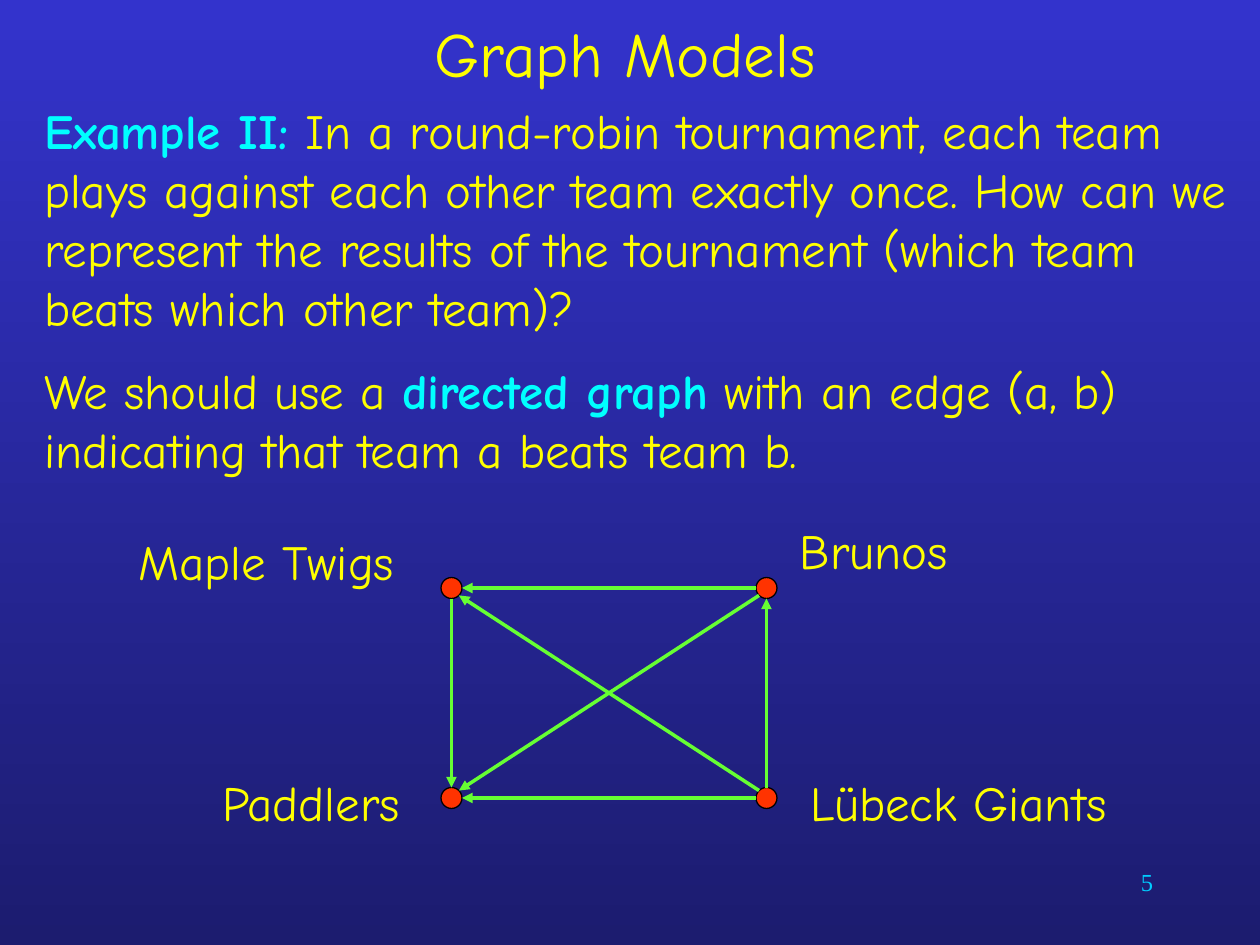
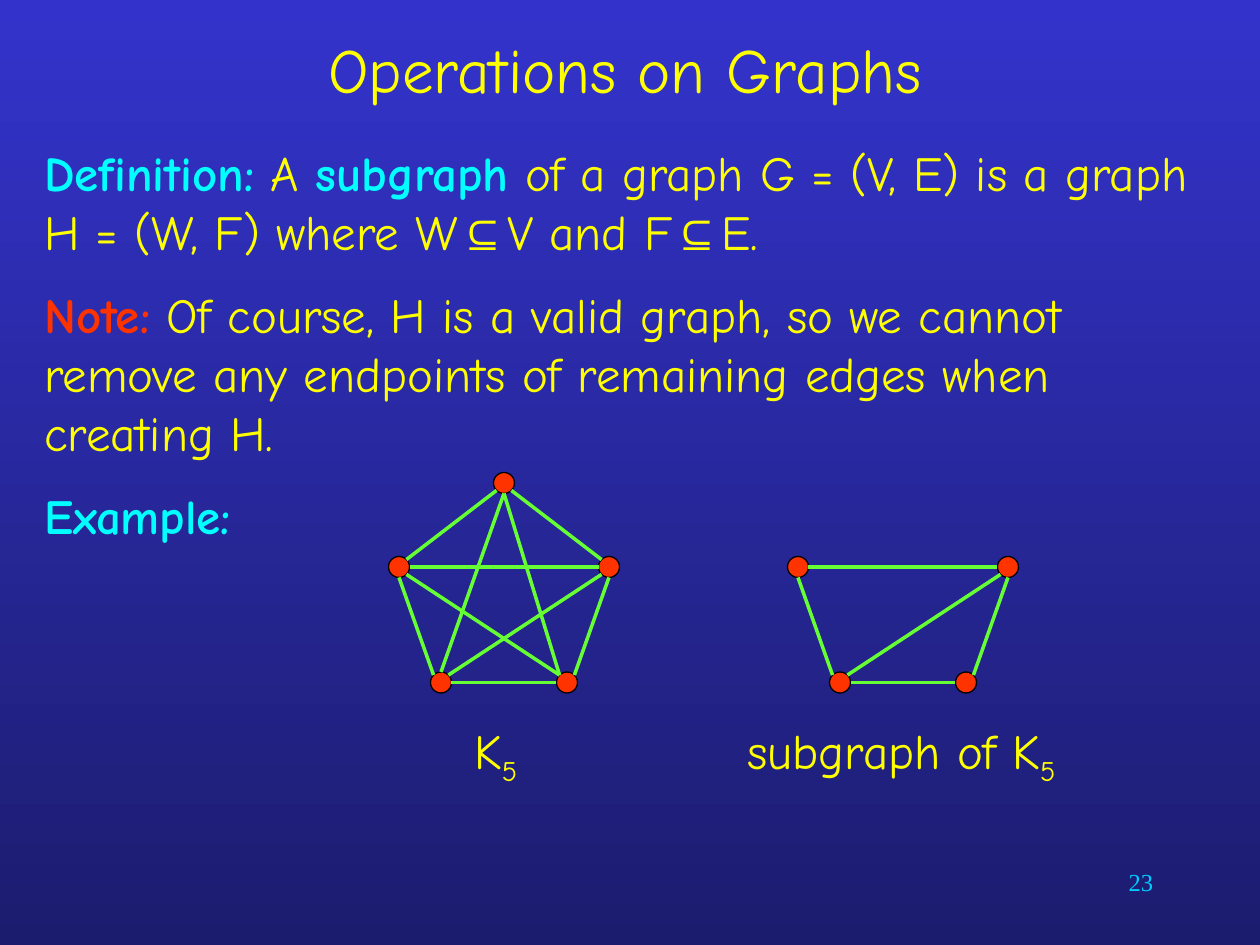
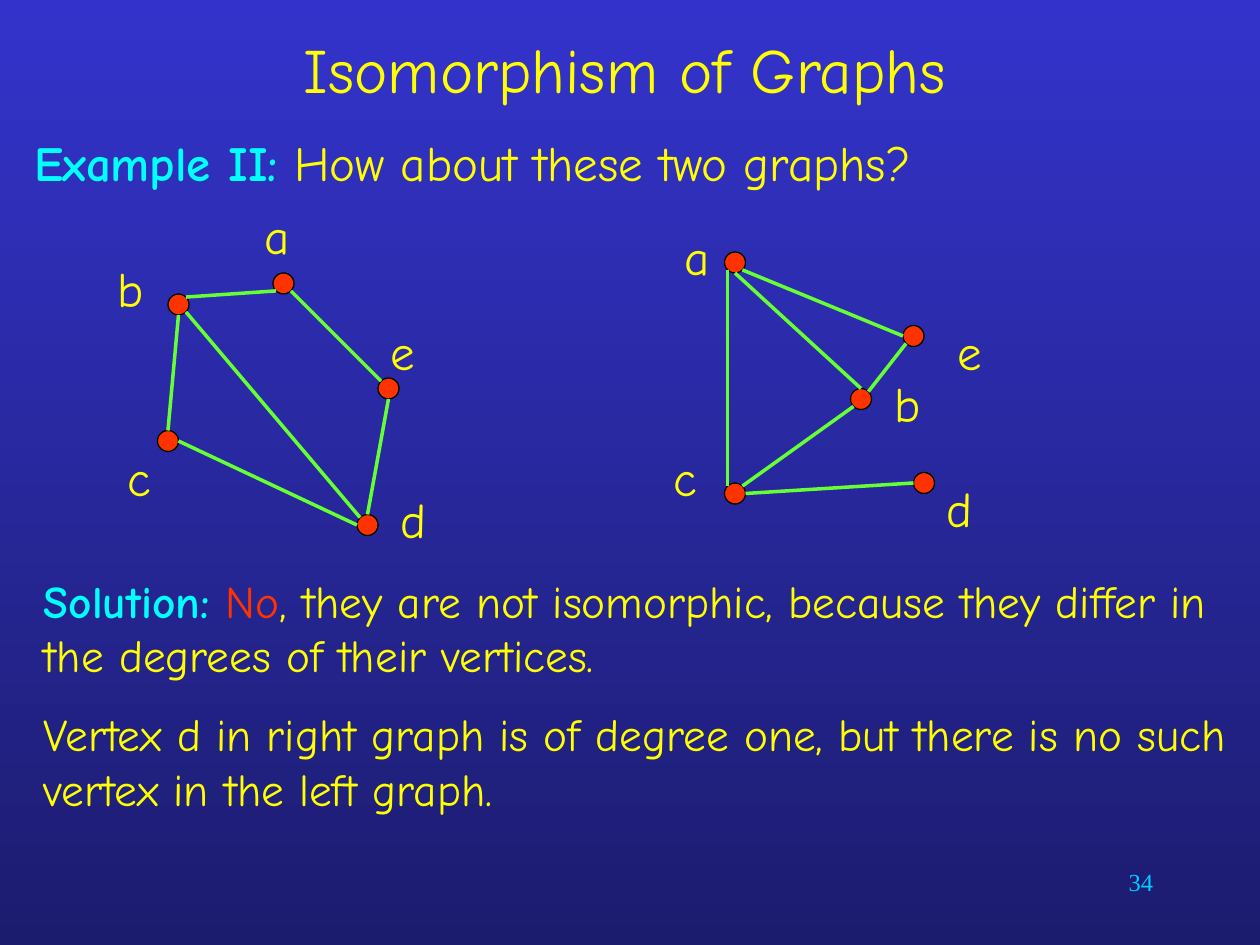
from math import cos, radians, sin

from lxml import etree
from pptx import Presentation
from pptx.dml.color import RGBColor
from pptx.enum.shapes import MSO_CONNECTOR, MSO_SHAPE
from pptx.enum.text import MSO_ANCHOR, MSO_AUTO_SIZE, PP_ALIGN
from pptx.oxml.ns import qn
from pptx.util import Inches, Pt

STRAIGHT = MSO_CONNECTOR.STRAIGHT
CIRCLE = MSO_SHAPE.FLOWCHART_CONNECTOR
TOP, MIDDLE = MSO_ANCHOR.TOP, MSO_ANCHOR.MIDDLE
LEFT, CENTER, RIGHT = PP_ALIGN.LEFT, PP_ALIGN.CENTER, PP_ALIGN.RIGHT
NO_AUTOFIT = MSO_AUTO_SIZE.NONE

COLORS = {
    "background_top": "3333CC",
    "background_bottom": "1C1C6F",
    "text": "FFFF00",
    "term": "00FFFF",
    "alert": "FF3300",
    "number": "00CCFF",
    "vertex": "FF3300",
    "outline": "000000",
    "edge": "66FF33",
}
MAIN_FONT = "Comic Neue"
STYLES = {
    "plain": {"name": MAIN_FONT, "bold": False, "color": "text"},
    "term": {"name": MAIN_FONT, "bold": True, "color": "term"},
    "note": {"name": MAIN_FONT, "bold": True, "color": "alert"},
    "answer": {"name": MAIN_FONT, "bold": False, "color": "alert"},
    "symbol": {"name": "Arial", "bold": False, "color": "text"},
    "number": {"name": "Times New Roman", "bold": False, "color": "number"},
    "subscript": {"name": MAIN_FONT, "bold": False, "color": "text"},
}
COMPASS = {name: radians(45 * step) for step, name in
           enumerate(["E", "SE", "S", "SW", "W", "NW", "N", "NE"])}
CELLS_PER_INCH = 12
VERTEX_CELLS = 2
LABEL_HEIGHT = 0.57
PARAGRAPH_GAP = 7

TOURNAMENT = {
    "origin": (12, 49),
    "vertices": {"Maple Twigs": (30, 6), "Brunos": (60, 6),
                 "Paddlers": (30, 26), "Lübeck Giants": (60, 26)},
    "labels": {"Maple Twigs": (0, 1, 31), "Brunos": (63, 0, 21),
               "Paddlers": (8, 24, 22), "Lübeck Giants": (64, 24, 36)},
    "edges": [("Maple Twigs", "S", "Paddlers", "N"),
              ("Brunos", "W", "Maple Twigs", "E"),
              ("Brunos", "SW", "Paddlers", "NE"),
              ("Lübeck Giants", "W", "Paddlers", "E"),
              ("Lübeck Giants", "NW", "Maple Twigs", "SE"),
              ("Lübeck Giants", "N", "Brunos", "S")],
    "directed": True,
}
SUBGRAPH_VERTICES = {"lower left": (4, 19), "lower right": (16, 19),
                     "left": (0, 8), "right": (20, 8)}
SUBGRAPH_EDGES = [("left", "S", "lower left", "NW"),
                  ("lower left", "E", "lower right", "W"),
                  ("lower right", "NE", "right", "S"),
                  ("left", "E", "right", "W"),
                  ("lower left", "NE", "right", "SW")]
COMPLETE_GRAPH = {
    "origin": (37, 45),
    "vertices": {**SUBGRAPH_VERTICES, "top": (10, 0)},
    "edges": SUBGRAPH_EDGES + [("right", "NW", "top", "SE"),
                               ("left", "NE", "top", "SW"),
                               ("top", "S", "lower left", "N"),
                               ("top", "S", "lower right", "NW"),
                               ("left", "SE", "lower right", "NW")],
}
SUBGRAPH = {"origin": (75, 45), "vertices": SUBGRAPH_VERTICES,
            "edges": SUBGRAPH_EDGES}
LEFT_GRAPH = {
    "origin": (10, 19),
    "vertices": {"a": (16, 7), "b": (6, 9), "c": (5, 22),
                 "d": (24, 30), "e": (26, 17)},
    "labels": {"a": (14, 0, 8), "b": (0, 5, 4), "c": (1, 23, 5),
               "d": (27, 27, 8), "e": (26, 11, 8)},
    "edges": [("d", "N", "e", "S"), ("d", "W", "c", "E"),
              ("c", "N", "b", "S"), ("b", "NE", "a", "SW"),
              ("a", "SE", "e", "NW"), ("b", "SE", "d", "NW")],
}
RIGHT_GRAPH = {
    "origin": (63, 21),
    "vertices": {"a": (6, 3), "b": (18, 16), "c": (6, 25),
                 "d": (24, 24), "e": (23, 10)},
    "labels": {"a": (1, 0, 8), "b": (21, 14, 4), "c": (0, 21, 5),
               "d": (26, 24, 8), "e": (27, 9, 8)},
    "edges": [("c", "E", "d", "W"), ("c", "NE", "b", "SW"),
              ("b", "N", "a", "S"), ("a", "SE", "e", "W"),
              ("e", "SW", "b", "NE"), ("a", "SW", "c", "NW")],
}


def color(name):
    return RGBColor.from_string(COLORS[name])


def cells(count):
    return Inches(count / CELLS_PER_INCH)


def set_attributes(target, values):
    for name, value in values.items():
        setattr(target, name, value)


def write_paragraph(paragraph, runs, size, align=LEFT):
    paragraph.alignment = align
    for text, style in runs:
        run = paragraph.add_run()
        run.text = text
        values = dict(STYLES[style], size=Pt(size))
        run.font.color.rgb = color(values.pop("color"))
        set_attributes(run.font, values)
        if style == "subscript":
            run.font._element.set("baseline", "-25000")


def write_paragraphs(frame, paragraphs, size, bulleted=False):
    for index, runs in enumerate(paragraphs):
        paragraph = frame.add_paragraph() if index else frame.paragraphs[0]
        if bulleted:
            properties = paragraph._p.get_or_add_pPr()
            properties.set("marL", "0")
            properties.set("indent", "0")
            etree.SubElement(properties, qn("a:buNone"))
        set_attributes(paragraph, {
            "line_spacing": 1.0,
            "space_before": Pt(PARAGRAPH_GAP if index else 0),
            "space_after": Pt(PARAGRAPH_GAP),
        })
        write_paragraph(paragraph, runs, size)


def place(shape, box):
    names = ("left", "top", "width", "height")
    set_attributes(shape, dict(zip(names, map(Inches, box))))


def add_text(shapes, box, runs, size=28, align=LEFT):
    shape = shapes.add_textbox(*box)
    shape.text_frame.word_wrap = True
    write_paragraph(shape.text_frame.paragraphs[0], runs, size, align)


def add_slide(presentation, number, title, title_height, body_box, paragraphs):
    slide = presentation.slides.add_slide(presentation.slide_layouts[1])
    heading, body = slide.placeholders
    place(heading, (0.25, 0, 9.42, title_height))
    place(body, body_box)
    for shape, anchor in ((heading, MIDDLE), (body, TOP)):
        set_attributes(shape.text_frame, {
            "auto_size": NO_AUTOFIT, "vertical_anchor": anchor,
            "word_wrap": True})
    write_paragraph(heading.text_frame.paragraphs[0],
                    [(title, "plain")], 36, CENTER)
    write_paragraphs(body.text_frame, paragraphs, 28, bulleted=True)
    add_text(slide.shapes, map(Inches, (7.17, 6.83, 2.08, 0.5)),
             [(str(number), "number")], 14, RIGHT)
    return slide


def add_vertex(shapes, left, top):
    vertex = shapes.add_shape(CIRCLE, cells(left), cells(top),
                              cells(VERTEX_CELLS), cells(VERTEX_CELLS))
    vertex.shadow.inherit = False
    vertex.fill.solid()
    vertex.fill.fore_color.rgb = color("vertex")
    vertex.line.color.rgb = color("outline")
    vertex.line.width = Pt(0.75)


def add_edge(shapes, start, end, directed):
    edge = shapes.add_connector(STRAIGHT, *map(cells, start + end))
    edge.line.color.rgb = color("edge")
    edge.line.width = Pt(2)
    properties = edge._element.spPr
    if directed:
        line = properties.find(qn("a:ln"))
        etree.SubElement(line, qn("a:tailEnd"), type="triangle")
    etree.SubElement(properties, qn("a:effectLst"))


def add_graph(slide, graph):
    shapes = slide.shapes.add_group_shape().shapes
    left, top = graph["origin"]
    radius = VERTEX_CELLS / 2

    def rim_point(name, direction):
        x, y = graph["vertices"][name]
        angle = COMPASS[direction]
        return (left + x + radius * (1 + cos(angle)),
                top + y + radius * (1 + sin(angle)))

    for x, y in graph["vertices"].values():
        add_vertex(shapes, left + x, top + y)
    for name, (x, y, width) in graph.get("labels", {}).items():
        box = (cells(left + x), cells(top + y), cells(width),
               Inches(LABEL_HEIGHT))
        add_text(shapes, box, [(name, "plain")])
    for source, leaving, target, arriving in graph["edges"]:
        add_edge(shapes, rim_point(source, leaving),
                 rim_point(target, arriving), graph.get("directed", False))


def add_caption(slide, graph, offset, width, text):
    left, top = graph["origin"]
    box = (cells(left + offset), cells(top + 23), cells(width), Inches(0.63))
    add_text(slide.shapes, box, [(text, "plain"), ("5", "subscript")])


def add_models_slide(presentation):
    slide = add_slide(
        presentation, 5, "Graph Models", 0.83, (0.25, 0.75, 9.58, 3.17), [
            [("Example II: ", "term"),
             ("In a round-robin tournament, each team plays against each "
              "other team exactly once. How can we represent the results of "
              "the tournament (which team beats which other team)?", "plain")],
            [("We should use a ", "plain"), ("directed graph", "term"),
             (" with an edge (a, b) indicating that team a beats team b.",
              "plain")],
        ])
    add_graph(slide, TOURNAMENT)


def add_operations_slide(presentation):
    slide = add_slide(
        presentation, 23, "Operations on Graphs", 1.08,
        (0.25, 1.08, 9.58, 3.67), [
            [("Definition:", "term"), (" A ", "plain"), ("subgraph", "term"),
             (" of a graph G = (V, E) is a graph H = (W, F) where W", "plain"),
             ("⊆", "symbol"), ("V and F", "plain"), ("⊆", "symbol"),
             ("E.", "plain")],
            [("Note:", "note"),
             (" Of course, H is a valid graph, so we cannot remove any "
              "endpoints of remaining edges when creating H.", "plain")],
            [("Example:", "term")],
        ])
    add_graph(slide, COMPLETE_GRAPH)
    add_caption(slide, COMPLETE_GRAPH, 7, 8, "K")
    add_graph(slide, SUBGRAPH)
    add_caption(slide, SUBGRAPH, -5, 36, "subgraph of K")


def add_isomorphism_slide(presentation):
    slide = add_slide(
        presentation, 34, "Isomorphism of Graphs", 1.08,
        (0.17, 1, 9.67, 0.58),
        [[("Example II:", "term"), (" How about these two graphs?", "plain")]])
    add_graph(slide, LEFT_GRAPH)
    add_graph(slide, RIGHT_GRAPH)
    solution = slide.shapes.add_textbox(*map(Inches, (0.25, 4.5, 9.58, 2)))
    solution.text_frame.word_wrap = True
    write_paragraphs(solution.text_frame, [
        [("Solution: ", "term"), ("No", "answer"),
         (", they are not isomorphic, because they differ in the degrees of "
          "their vertices.", "plain")],
        [("Vertex d in right graph is of degree one, but there is no such "
          "vertex in the left graph.", "plain")],
    ], 25.9)


def set_background(presentation):
    fill = presentation.slide_master.background.fill
    fill.gradient()
    fill.gradient_angle = 270
    for stop, name in zip(fill.gradient_stops,
                          ("background_top", "background_bottom")):
        stop.color.rgb = color(name)


def main():
    presentation = Presentation()
    presentation.slide_width = Inches(10)
    presentation.slide_height = Inches(7.5)
    set_background(presentation)
    add_models_slide(presentation)
    add_operations_slide(presentation)
    add_isomorphism_slide(presentation)
    presentation.save("out.pptx")


if __name__ == "__main__":
    main()
